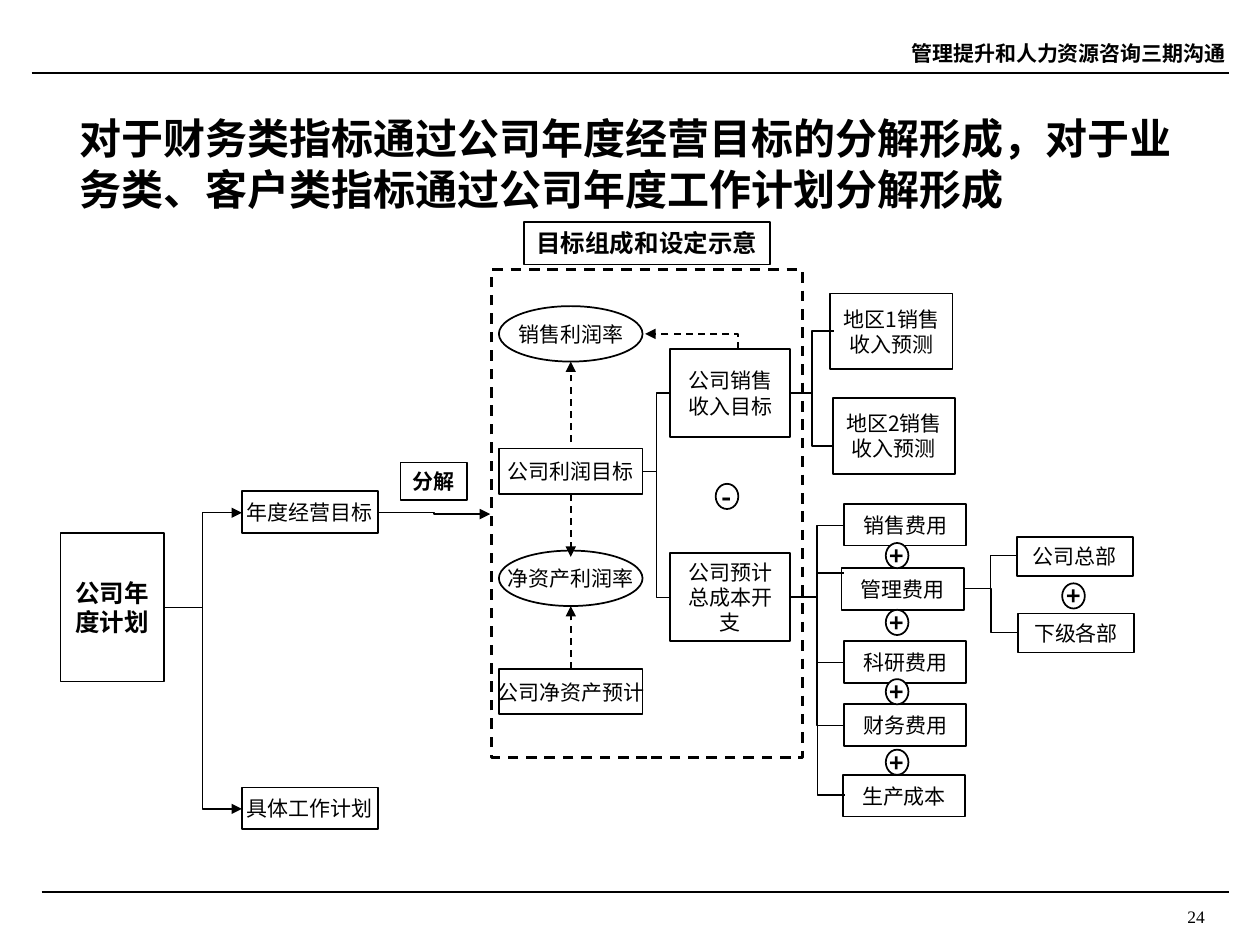
from pptx import Presentation
from pptx.dml.color import RGBColor
from pptx.enum.dml import MSO_LINE
from pptx.enum.shapes import MSO_CONNECTOR, MSO_SHAPE
from pptx.enum.text import MSO_ANCHOR, MSO_AUTO_SIZE, PP_ALIGN
from pptx.oxml.ns import qn
from pptx.util import Inches, Pt
from lxml import etree

RECT, OVAL = MSO_SHAPE.RECTANGLE, MSO_SHAPE.OVAL
STRAIGHT, ELBOW = MSO_CONNECTOR.STRAIGHT, MSO_CONNECTOR.ELBOW
DASH = MSO_LINE.DASH
LEFT, CENTER, RIGHT = PP_ALIGN.LEFT, PP_ALIGN.CENTER, PP_ALIGN.RIGHT
MIDDLE, TOP = MSO_ANCHOR.MIDDLE, MSO_ANCHOR.TOP
COLORS = {"ink": "000000", "paper": "FFFFFF"}
CJK, SERIF = "Noto Sans CJK SC", "Times New Roman"
LINE_HEIGHT = 1.2


def rgb(name):
    return RGBColor.from_string(COLORS[name])


def write(shape, text, size, bold=False, align=CENTER, wrap=True, font=CJK, anchor=MIDDLE):
    frame = shape.text_frame
    frame.text = text
    frame.auto_size = MSO_AUTO_SIZE.NONE
    frame.word_wrap = wrap
    frame.vertical_anchor = anchor
    for paragraph in frame.paragraphs:
        paragraph.alignment = align
        paragraph.line_spacing = Pt(size * LINE_HEIGHT)
        paragraph.space_before = Pt(0)
        paragraph.font.size = Pt(size)
        paragraph.font.bold = bold
        paragraph.font.color.rgb = rgb("ink")
        paragraph.font.name = font
        defaults = paragraph._p.pPr.find(qn("a:defRPr"))
        etree.SubElement(defaults, qn("a:ea")).set("typeface", font)


def add_label(slide, text, place, size, **style):
    write(slide.shapes.add_textbox(*map(Inches, place)), text, size, **style)


def add_node(slide, text, place, kind=RECT, size=12, weight=1, dash=None, **style):
    node = slide.shapes.add_shape(kind, *map(Inches, place))
    node.shadow.inherit = False
    node.fill.solid()
    node.fill.fore_color.rgb = rgb("paper")
    node.line.color.rgb = rgb("ink")
    node.line.width = Pt(weight)
    if dash:
        node.line.dash_style = dash
    if text:
        write(node, text, size, **style)


def add_link(slide, start, end, kind=STRAIGHT, weight=0.75, dash=None, arrow=False):
    link = slide.shapes.add_connector(kind, *map(Inches, start + end))
    link.line.color.rgb = rgb("ink")
    link.line.width = Pt(weight)
    if dash:
        link.line.dash_style = dash
    if arrow:
        etree.SubElement(link.line._get_or_add_ln(), qn("a:tailEnd")).set("type", "triangle")
    etree.SubElement(link._element.spPr, qn("a:effectLst"))
    return link


def add_corner_link(slide, start, end, **style):
    """Link that leaves upwards and turns once to the left."""
    (x1, y1), (x2, y2) = start, end
    mid_x, mid_y = (x1 + x2) / 2, (y1 + y2) / 2
    half_w, half_h = (y1 - y2) / 2, (x1 - x2) / 2
    link = add_link(slide, (mid_x - half_w, mid_y + half_h),
                    (mid_x + half_w, mid_y - half_h), ELBOW, **style)
    link._element.spPr.find(qn("a:prstGeom")).set("prst", "bentConnector2")
    link._element.spPr.find(qn("a:xfrm")).set("rot", str(270 * 60000))


def add_frame(slide):
    add_link(slide, (0.25, 0.58), (9.75, 0.58))
    add_link(slide, (0.33, 7.08), (9.75, 7.08))
    add_label(slide, "管理提升和人力资源咨询三期沟通", (6.75, 0.17, 3.08, 0.5), 12,
              bold=True, align=RIGHT)
    add_label(slide, "24", (7.08, 7.14, 2.58, 0.19), 10, align=RIGHT, font=SERIF, anchor=TOP)
    title = slide.shapes.title
    title.left, title.top, title.width, title.height = map(Inches, (0.53, 0.92, 9, 0.75))
    write(title, "对于财务类指标通过公司年度经营目标的分解形成，"
          "对于业务类、客户类指标通过公司年度工作计划分解形成", 24, bold=True, align=LEFT)


def add_nodes(slide):
    # Dashed area with its heading
    add_node(slide, "", (3.9, 2.14, 2.47, 3.87), weight=1.5, dash=DASH)
    add_node(slide, "目标组成和设定示意", (4.16, 1.76, 1.95, 0.34), size=14, bold=True, wrap=False)

    # Company plan and its two parts
    add_node(slide, "公司年度计划", (0.48, 4.23, 0.82, 1.18), size=14, bold=True)
    for text, top in (("年度经营目标", 3.9), ("具体工作计划", 6.25)):
        add_node(slide, text, (1.92, top, 1.08, 0.33), wrap=False)
    add_node(slide, "分解", (3.18, 3.67, 0.53, 0.3), bold=True, wrap=False)

    # Profit targets and ratios
    for text, top, height, kind in (
            ("销售利润率", 2.43, 0.44, OVAL), ("公司利润目标", 3.56, 0.36, RECT),
            ("净资产利润率", 4.37, 0.44, OVAL), ("公司净资产预计", 5.31, 0.36, RECT)):
        add_node(slide, text, (3.96, top, 1.14, height), kind, wrap=False)

    # Income and cost
    for text, top in (("公司销售\n收入目标", 2.77), ("公司预计\n总成本开支", 4.39)):
        add_node(slide, text, (5.32, top, 0.95, 0.7))

    # Regional forecasts
    for text, left, top in (("地区1销售收入预测", 6.59, 2.33), ("地区2销售收入预测", 6.61, 3.16)):
        add_node(slide, text, (left, top, 0.97, 0.6))

    # Cost items
    for text, left, top in (("销售费用", 6.7, 4), ("管理费用", 6.68, 4.51), ("科研费用", 6.7, 5.09),
                            ("财务费用", 6.7, 5.59), ("生产成本", 6.69, 6.15)):
        add_node(slide, text, (left, top, 0.97, 0.33))

    # Departments
    for text, left, top in (("公司总部", 8.07, 4.26), ("下级各部", 8.08, 4.87)):
        add_node(slide, text, (left, top, 0.92, 0.31), wrap=False)


def add_links(slide):
    # Plan to its parts, and on to the dashed area
    for y in (4.07, 6.42):
        add_link(slide, (1.3, 4.82), (1.92, y), ELBOW, arrow=True)
    add_link(slide, (3, 4.07), (3.89, 4.08), ELBOW, arrow=True)

    # Dashed arrows to the ratios
    for start_y, end_y in ((3.51, 2.87), (3.92, 4.42), (5.31, 4.81)):
        add_link(slide, (4.53, start_y), (4.53, end_y), weight=1, dash=DASH, arrow=True)
    add_corner_link(slide, (5.86, 2.77), (5.12, 2.65), weight=1, dash=DASH, arrow=True)

    # Branches: source point, then targets with line weight
    branches = (
        ((5.1, 3.74), ((5.32, 3.12, 0.75), (5.32, 4.74, 0.75))),
        ((6.27, 3.12), ((6.62, 2.63, 1), (6.62, 3.54, 0.75))),
        ((6.27, 4.74), ((6.7, 4.17, 0.75), (6.7, 4.55, 1), (6.7, 5.26, 0.75),
                        (6.7, 5.76, 0.75), (6.71, 6.31, 0.75))),
        ((7.65, 4.67), ((8.07, 4.41, 0.75), (8.08, 5.02, 0.75))),
    )
    for source, targets in branches:
        for x, y, weight in targets:
            add_link(slide, source, (x, y), ELBOW, weight)


def add_operators(slide):
    add_node(slide, "-", (5.68, 3.84, 0.18, 0.2), OVAL, 16, bold=True, wrap=False)
    for left, top in ((7.03, 4.31), (7.03, 4.84), (7.03, 5.39), (7.03, 5.95), (8.43, 4.63)):
        add_node(slide, "+", (left, top, 0.18, 0.2), OVAL, 14, bold=True, wrap=False)


def main():
    deck = Presentation()
    deck.slide_width, deck.slide_height = Inches(10), Inches(7.5)
    slide = deck.slides.add_slide(deck.slide_layouts[5])
    add_frame(slide)
    add_nodes(slide)
    add_links(slide)
    add_operators(slide)
    deck.save("out.pptx")


if __name__ == "__main__":
    main()
